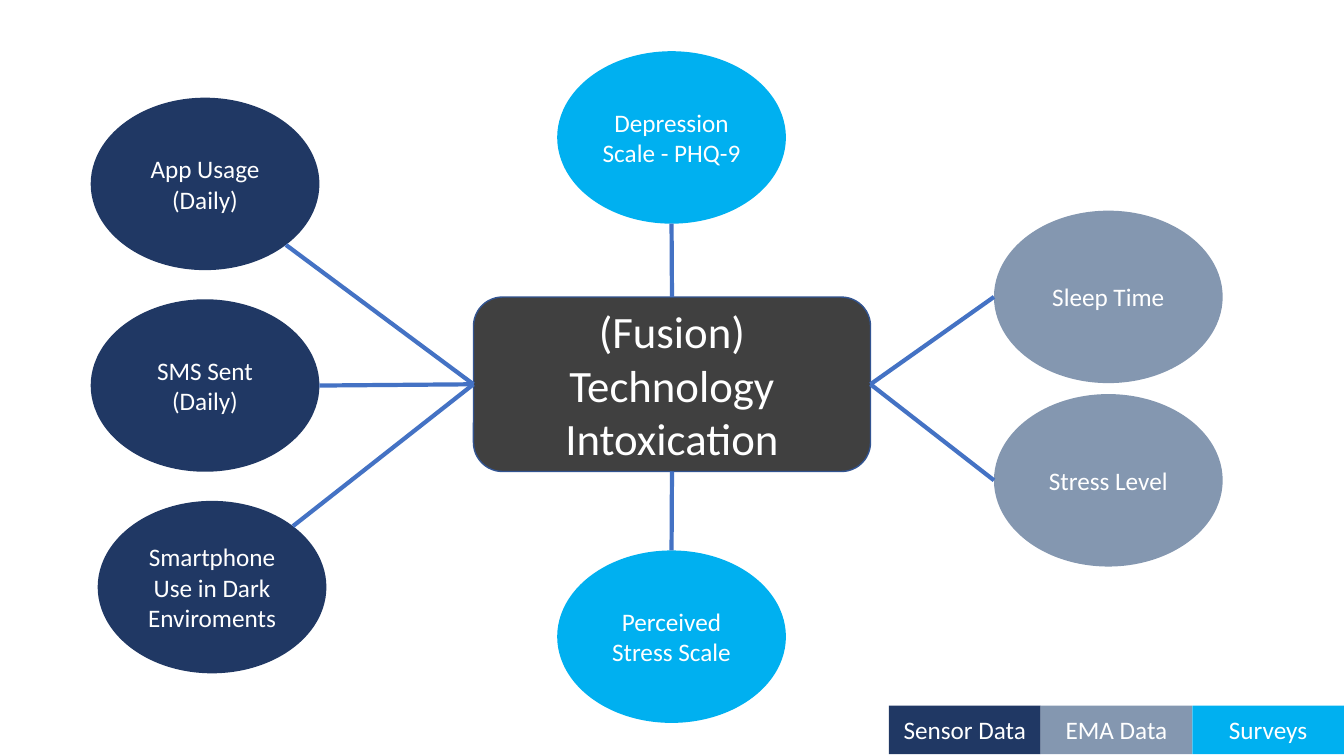
from math import cos, radians, sin

from lxml import etree
from pptx import Presentation
from pptx.dml.color import RGBColor
from pptx.enum import shapes, text
from pptx.oxml.ns import qn
from pptx.util import Pt

NAVY = RGBColor(0x20, 0x38, 0x64)
SLATE = RGBColor(0x84, 0x97, 0xB0)
SKY = RGBColor(0x00, 0xB0, 0xF0)
CHARCOAL = RGBColor(0x40, 0x40, 0x40)
HUB_EDGE = RGBColor(0x32, 0x54, 0x91)
LINK_BLUE = RGBColor(0x44, 0x72, 0xC4)
WHITE = RGBColor(0xFF, 0xFF, 0xFF)

BUBBLE_W, BUBBLE_H = 163.4, 123.2
TOP, LEFT, BOTTOM, RIGHT = range(4)  # connection sites of the hub


def add_label(slide, kind, box, fill, label, size=18):
    """Filled shape with centred white text; box is left, top, width, height."""
    sp = slide.shapes.add_shape(kind, *(Pt(v) for v in box))
    sp.shadow.inherit = False
    sp.fill.solid()
    sp.fill.fore_color.rgb = fill
    sp.line.fill.background()
    tf = sp.text_frame
    tf.word_wrap = True
    tf.vertical_anchor = text.MSO_ANCHOR.MIDDLE
    p = tf.paragraphs[0]
    p.alignment = text.PP_ALIGN.CENTER
    r = p.add_run()
    r.text = label
    r.font.name = "Calibri"
    r.font.size = Pt(size)
    r.font.color.rgb = WHITE
    return sp


def add_hub(slide, box):
    hub = add_label(slide, shapes.MSO_SHAPE.ROUNDED_RECTANGLE, box, CHARCOAL,
                    "(Fusion) Technology Intoxication", 32)
    hub.line.color.rgb = HUB_EDGE
    hub.line.width = Pt(1)
    return hub


def add_link(slide, hub, site, x, y):
    """Line from a side of the hub to the point x, y."""
    link = slide.shapes.add_connector(
        shapes.MSO_CONNECTOR.STRAIGHT, 0, 0, Pt(x), Pt(y))
    link.begin_connect(hub, site)
    link.line.color.rgb = LINK_BLUE
    link.line.width = Pt(3)
    etree.SubElement(link._element.spPr, qn("a:effectLst"))


def add_bubbles(slide, hub, box, fill, bubbles):
    """Column of ellipses spread evenly over the box, each linked to the hub.

    A bubble is label, hub site, angle of the link's end (clockwise from
    the right) and indent.
    """
    left, top, width, height = box
    step = (height - BUBBLE_H) / (len(bubbles) - 1)
    for i, (label, site, angle, indent) in enumerate(bubbles):
        x, y = left + indent, top + i * step
        add_label(slide, shapes.MSO_SHAPE.OVAL, (x, y, width, BUBBLE_H),
                  fill, label)
        a = radians(angle)
        add_link(slide, hub, site, x + width / 2 * (1 + cos(a)),
                 y + BUBBLE_H / 2 * (1 + sin(a)))


def add_legend(slide, box, entries):
    left, top, width, height = box
    cell = width / len(entries)
    for i, (label, fill) in enumerate(entries):
        add_label(slide, shapes.MSO_SHAPE.RECTANGLE,
                  (left + i * cell, top, cell, height), fill, label)


def main():
    prs = Presentation()
    prs.slide_width, prs.slide_height = Pt(960), Pt(540)
    slide = prs.slides.add_slide(prs.slide_layouts[6])

    # Central topic
    hub = add_hub(slide, (338.2, 212.2, 283.6, 124.6))

    # Sensor data on the left
    add_bubbles(slide, hub, (64.8, 69.8, BUBBLE_W, 288 + BUBBLE_H), NAVY, [
        ("App Usage (Daily)", LEFT, 45, 0),
        ("SMS Sent (Daily)", LEFT, 0, 0),
        ("Smartphone Use in Dark Enviroments", LEFT, -45, 5),
    ])

    # EMA data on the right
    add_bubbles(slide, hub, (710, 150.5, BUBBLE_W, 131 + BUBBLE_H), SLATE, [
        ("Sleep Time", RIGHT, 180, 0),
        ("Stress Level", RIGHT, 180, 0),
    ])

    # Surveys above and below
    add_bubbles(slide, hub, (398, 36.6, BUBBLE_W, 356.6 + BUBBLE_H), SKY, [
        ("Depression Scale - PHQ-9", TOP, 90, 0),
        ("Perceived Stress Scale", BOTTOM, -90, 0),
    ])

    # Colour key
    add_legend(slide, (635, 504, 325, 34.6), [
        ("Sensor Data", NAVY), ("EMA Data", SLATE), ("Surveys", SKY),
    ])

    prs.save("out.pptx")


if __name__ == "__main__":
    main()
